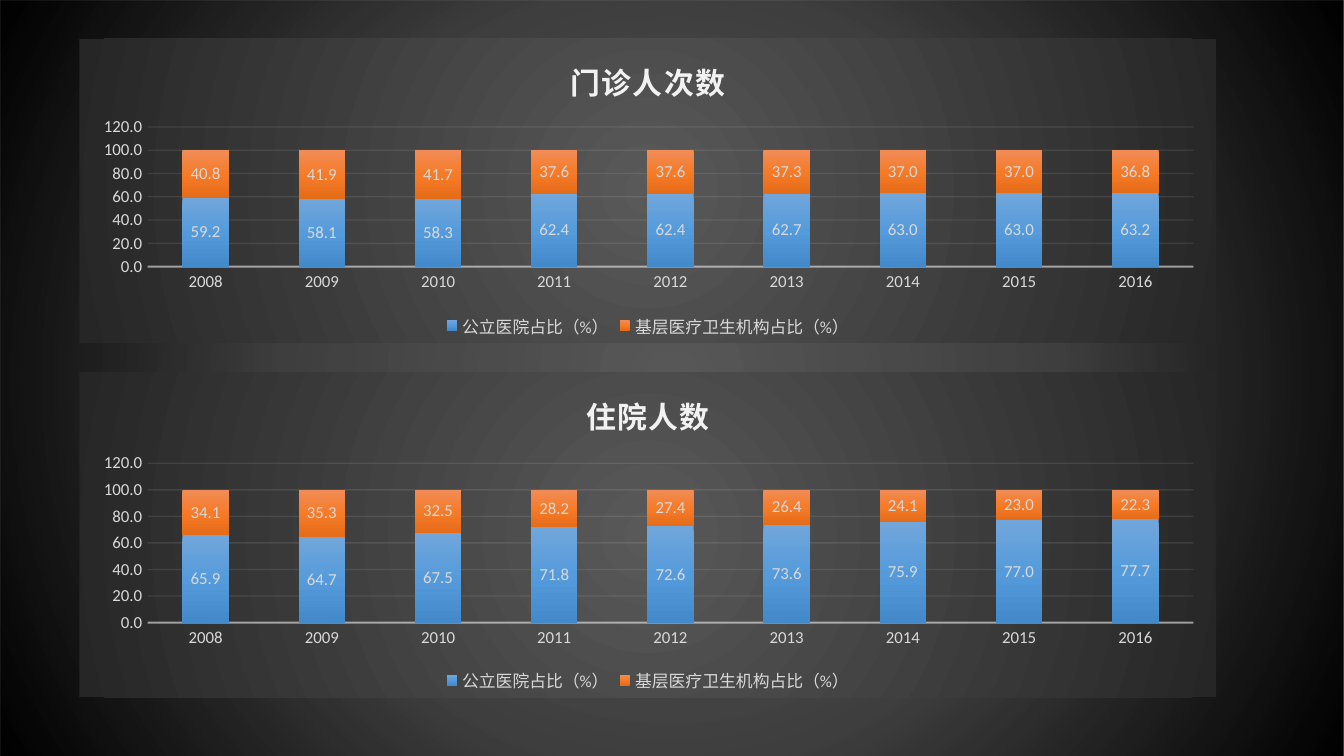
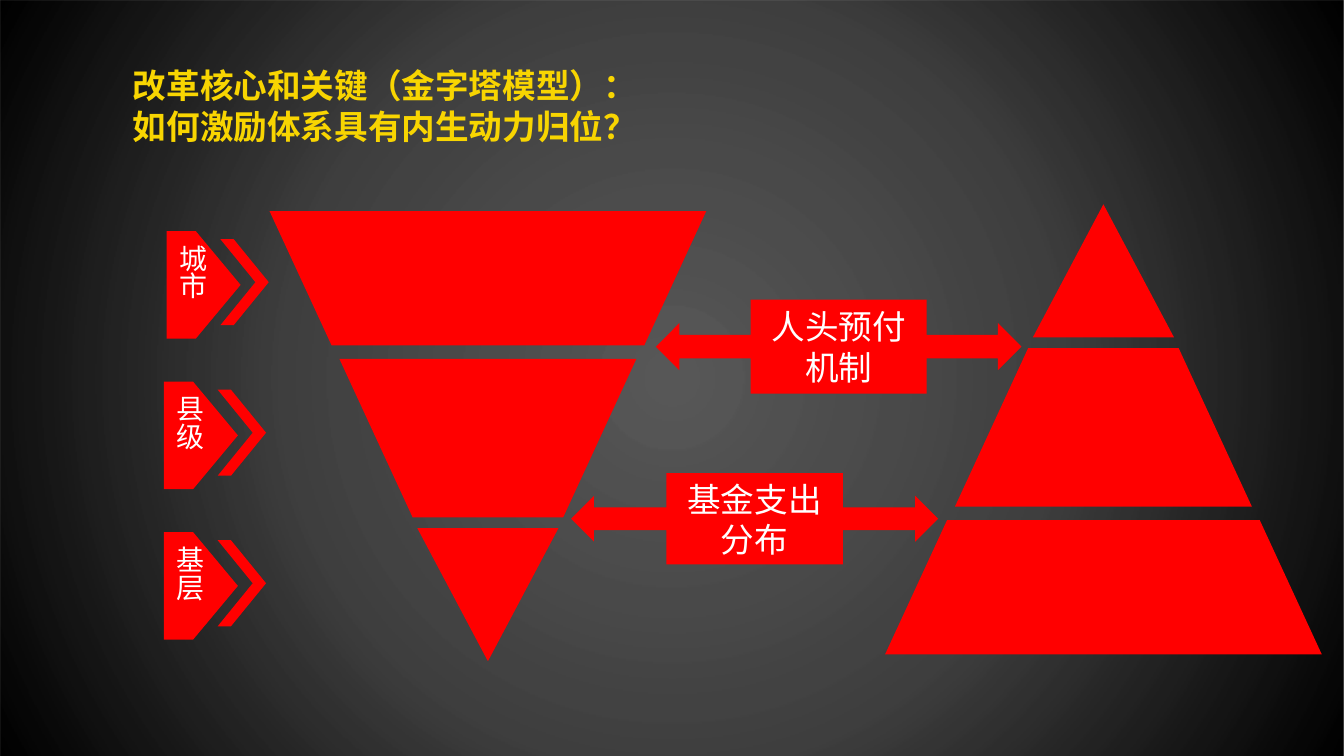
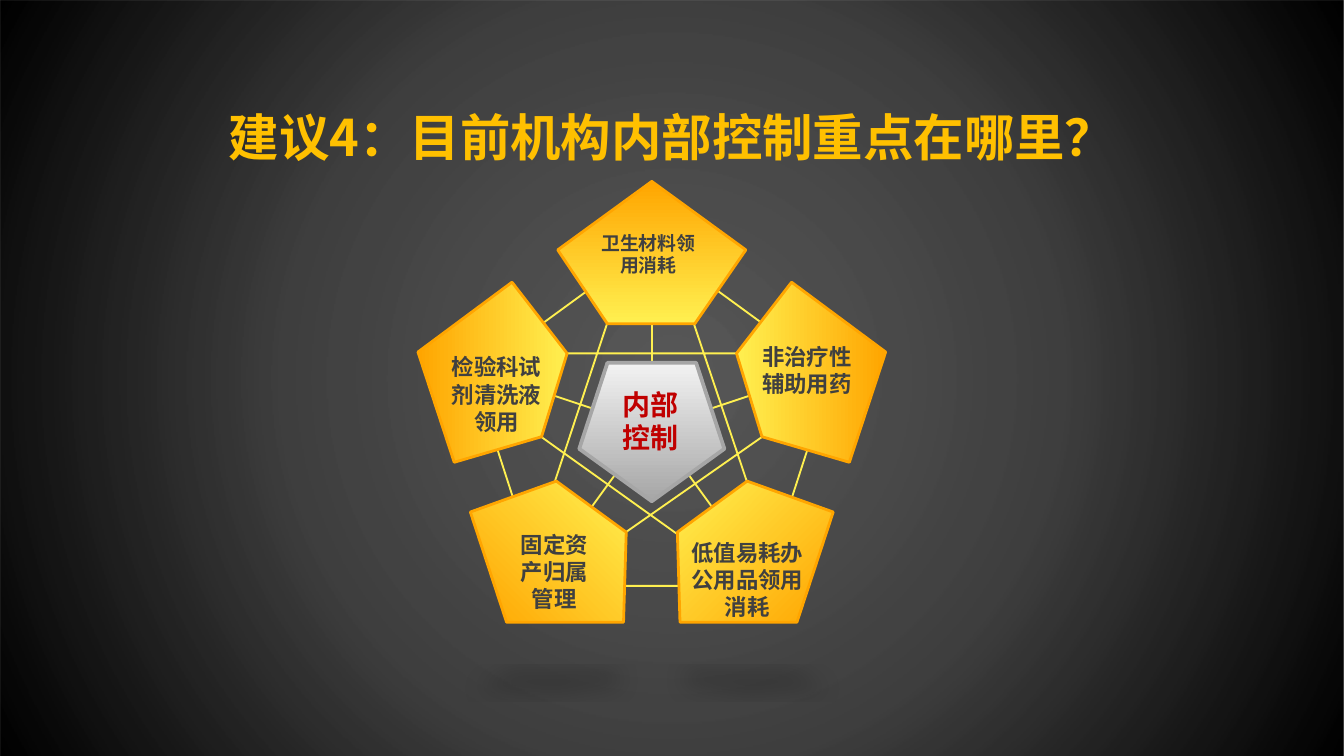
from lxml import etree
from pptx import Presentation
from pptx.chart.data import CategoryChartData
from pptx.dml.color import RGBColor
from pptx.enum.chart import XL_CHART_TYPE, XL_LEGEND_POSITION, XL_TICK_MARK
from pptx.enum.shapes import MSO_CONNECTOR, MSO_SHAPE
from pptx.enum.text import MSO_ANCHOR, MSO_AUTO_SIZE, PP_ALIGN
from pptx.oxml import parse_xml
from pptx.oxml.ns import nsdecls, qn
from pptx.util import Inches, Pt

CJK_FONT = "Noto Sans CJK SC"
CHART_FONT = "Calibri"
BLACK = RGBColor(0x00, 0x00, 0x00)
WHITE = RGBColor(0xFF, 0xFF, 0xFF)
RED = RGBColor(0xFF, 0x00, 0x00)
DARK_RED = RGBColor(0xC0, 0x00, 0x00)
TITLE_YELLOW = RGBColor(0xF8, 0xD5, 0x01)
TITLE_GOLD = RGBColor(0xFF, 0xC0, 0x00)
LEMON = RGBColor(0xFF, 0xF0, 0x50)
ORANGE = RGBColor(0xFF, 0xA5, 0x00)
CHARCOAL = RGBColor(0x40, 0x40, 0x40)
SILVER = RGBColor(0xF2, 0xF2, 0xF2)
STEEL = RGBColor(0xA6, 0xA6, 0xA6)
LABEL_GRAY = RGBColor(0xD9, 0xD9, 0xD9)
PANEL_LIGHT = RGBColor(0x59, 0x59, 0x59)
PANEL_DARK = RGBColor(0x26, 0x26, 0x26)
BLUES = [RGBColor(0x71, 0xA6, 0xDB), RGBColor(0x55, 0x9B, 0xDB), RGBColor(0x44, 0x8A, 0xCA)]
ORANGES = [RGBColor(0xF1, 0x8C, 0x57), RGBColor(0xF6, 0x7B, 0x28), RGBColor(0xE5, 0x6C, 0x19)]

YEARS = range(2008, 2017)
HOSPITAL, PRIMARY = "公立医院占比（%）", "基层医疗卫生机构占比（%）"
OUTPATIENT = {
    HOSPITAL: [59.2, 58.1, 58.3, 62.4, 62.4, 62.7, 63, 63, 63.2],
    PRIMARY: [40.8, 41.9, 41.7, 37.6, 37.6, 37.3, 37, 37, 36.8],
}
INPATIENT = {
    HOSPITAL: [65.9, 64.7, 67.5, 71.8, 72.6, 73.6, 75.9, 77, 77.7],
    PRIMARY: [34.1, 35.3, 32.5, 28.2, 27.4, 26.4, 24.1, 23, 22.3],
}

PYRAMID_LAYERS = [
    (MSO_SHAPE.ISOSCELES_TRIANGLE, 1.52, 1.05, 0.99),
    (MSO_SHAPE.TRAPEZOID, 2.59, 2.21, 1.18),
    (MSO_SHAPE.TRAPEZOID, 3.87, 3.25, 1.0),
]
FLIP_SUM = 6.44

RING_CENTER = 4.85
TOP_PENTAGON = [(4.85, 1.35), (4.15, 1.86), (4.52, 2.41), (5.17, 2.41), (5.55, 1.86)]
RIGHT_PENTAGON = [(6.59, 2.62), (5.89, 2.1), (5.48, 2.63), (5.67, 3.25), (6.32, 3.44)]
LOWER_LEFT_PENTAGON = [(3.77, 4.63), (4.64, 4.63), (4.66, 3.96), (4.14, 3.58), (3.5, 3.81)]
CORE_PENTAGON = [(4.85, 3.73), (5.39, 3.34), (5.18, 2.7), (4.52, 2.7), (4.31, 3.34)]
STAR = [(3.97, 3.21), (4.15, 2.63), (5.54, 2.63), (5.73, 3.21), (4.6, 4), (4.11, 3.64),
        (4.54, 2.34), (5.14, 2.34), (5.58, 3.65), (5.09, 4.01)]
RIGHT_SPOKES = [[(5.62, 2.93), (5.23, 3.06)], [(5.34, 3.83), (5.1, 3.5)]]


def inches(*lengths):
    """Convert several lengths to EMU."""
    return [Inches(length) for length in lengths]


def mirror(points):
    """Reflect points across the vertical axis of the ring."""
    return [(2 * RING_CENTER - x, y) for x, y in points]


def gradient(colors, angle=None, alphas=()):
    """Return a gradient with even stops, linear with an angle, else circular."""
    grad = parse_xml(f'<a:gradFill {nsdecls("a")} rotWithShape="1"><a:gsLst/></a:gradFill>')
    for index, color in enumerate(colors):
        position = 100000 * index // (len(colors) - 1)
        stop = etree.SubElement(grad[0], qn("a:gs"), pos=str(position))
        tint = etree.SubElement(stop, qn("a:srgbClr"), val=str(color))
        if index < len(alphas):
            etree.SubElement(tint, qn("a:alpha"), val=str(alphas[index] * 1000))
    if angle is None:
        circle = etree.SubElement(grad, qn("a:path"), {"path": "circle"})
        etree.SubElement(circle, qn("a:fillToRect"), {side: "50000" for side in "ltrb"})
    else:
        etree.SubElement(grad, qn("a:lin"), ang=str(angle * 60000), scaled="0")
    return grad


def fill_gradient(fill, properties, grad):
    """Put a gradient in the place of the fill of the given properties."""
    fill.background()
    properties.replace(properties.find(qn("a:noFill")), grad)


def add_backdrop(prs, slide):
    """Put the dark radial backdrop on the slide master."""
    backdrop = slide.shapes.add_shape(MSO_SHAPE.RECTANGLE, 0, 0, prs.slide_width, prs.slide_height)
    backdrop.shadow.inherit = False
    backdrop.line.fill.background()
    fill_gradient(backdrop.fill, backdrop.element.spPr, gradient([BLACK] * 3, alphas=(65, 75)))
    backdrop.element.nvSpPr.cNvPr.set("id", "50")
    prs.slide_master.shapes.element.insert(2, backdrop.element)


def style_font(font, size, color, bold=False, name=CHART_FONT):
    """Set the size, colour, weight and typeface of a font."""
    font.size, font.bold, font.name = Pt(size), bold, name
    font.color.rgb = color


def write_text(frame, text, size, color, bold=False, align=PP_ALIGN.CENTER, tight=True):
    """Fill a text frame with evenly styled paragraphs."""
    frame.text = text
    for paragraph in frame.paragraphs:
        paragraph.alignment = align
        if tight:
            paragraph.line_spacing = Pt(round(size * 1.21, 1))
        for run in paragraph.runs:
            style_font(run.font, size, color, bold, CJK_FONT)
            latin = run.font._element.find(qn("a:latin"))
            latin.addnext(parse_xml(f'<a:ea {nsdecls("a")} typeface="{CJK_FONT}"/>'))


def add_label(slide, bounds, text, size, color, align=PP_ALIGN.CENTER):
    """Add a bold wrapping text box that grows with its text."""
    label = slide.shapes.add_textbox(*inches(*bounds))
    label.text_frame.word_wrap = True
    label.text_frame.auto_size = MSO_AUTO_SIZE.SHAPE_TO_FIT_TEXT
    write_text(label.text_frame, text, size, color, True, align)


def add_red_shape(slide, kind, bounds, adjustment=None):
    """Add a flat red preset shape."""
    block = slide.shapes.add_shape(kind, *inches(*bounds))
    block.shadow.inherit = False
    block.fill.solid()
    block.fill.fore_color.rgb = RED
    block.line.fill.background()
    if adjustment is not None:
        block.adjustments[0] = adjustment
    return block


def fade(chart, where, percent):
    """Make the line colours found by an XPath partly transparent."""
    for color in chart.element.xpath(where):
        etree.SubElement(color, qn("a:alpha"), val=str(percent * 1000))


def style_axes(chart):
    """Style the year axis, the percentage axis and its gridlines."""
    years, shares = chart.category_axis, chart.value_axis
    for axis in (years, shares):
        axis.major_tick_mark = axis.minor_tick_mark = XL_TICK_MARK.NONE
        style_font(axis.tick_labels.font, 9, LABEL_GRAY)
    shares.minimum_scale, shares.maximum_scale, shares.major_unit = 0, 120, 20
    shares.tick_labels.number_format = "0.0"
    shares.tick_labels.number_format_is_linked = False
    shares.format.line.fill.background()
    for line, width in ((years.format.line, 1), (shares.major_gridlines.format.line, 0.75)):
        line.width = Pt(width)
        line.color.rgb = SILVER
    fade(chart, ".//c:majorGridlines//a:srgbClr", 10)
    fade(chart, ".//c:catAx/c:spPr//a:srgbClr", 54)


def place_plot(chart, x, y, width, height):
    """Fix the inner plot area as fractions of the chart."""
    plot_area = chart.element.find(".//" + qn("c:plotArea"))
    old = plot_area.find(qn("c:layout"))
    if old is not None:
        plot_area.remove(old)
    layout = etree.Element(qn("c:layout"))
    manual = etree.SubElement(layout, qn("c:manualLayout"))
    settings = {"layoutTarget": "inner", "xMode": "edge", "yMode": "edge",
                "x": x, "y": y, "w": width, "h": height}
    for key, value in settings.items():
        etree.SubElement(manual, qn("c:" + key), val=str(value))
    plot_area.insert(0, layout)


def add_share_chart(slide, bounds, title, shares, plot_top, plot_height):
    """Add a stacked column chart of the shares by year."""
    data = CategoryChartData(number_format="0.0")
    data.categories = YEARS
    for name, values in shares.items():
        data.add_series(name, values)
    chart = slide.shapes.add_chart(XL_CHART_TYPE.COLUMN_STACKED, *inches(*bounds), data).chart
    style_font(chart.font, 10, BLACK)

    chart.has_title = True
    chart.chart_title.include_in_layout = False
    heading = chart.chart_title.text_frame
    heading.text = title
    style_font(heading.paragraphs[0].runs[0].font, 16, SILVER, True)
    heading.paragraphs[0].runs[0].font._element.set("spc", "100")

    chart.has_legend = True
    chart.legend.position = XL_LEGEND_POSITION.BOTTOM
    chart.legend.include_in_layout = False
    style_font(chart.legend.font, 9, LABEL_GRAY)

    columns = chart.plots[0]
    columns.gap_width, columns.overlap = 150, 100
    columns.vary_by_categories = False
    for series, colors in zip(columns.series, (BLUES, ORANGES)):
        fill = series.format.fill
        fill_gradient(fill, series._element.find(qn("c:spPr")), gradient(colors, 90))
        series.data_labels.show_value = True
        style_font(series.data_labels.font, 9, LABEL_GRAY)

    style_axes(chart)
    place_plot(chart, 0.06, plot_top, 0.92, plot_height)
    panel = parse_xml(f'<c:spPr {nsdecls("c", "a")}><a:ln><a:noFill/></a:ln></c:spPr>')
    panel.insert(0, gradient([PANEL_LIGHT, PANEL_DARK]))
    chart.element.find(qn("c:chart")).addnext(panel)


def add_level(slide, left, top, text):
    """Add a vertical level tag followed by a chevron."""
    tag = add_red_shape(slide, MSO_SHAPE.PENTAGON, (left, top, 0.55, 0.8), 0.606)
    tag.text_frame.word_wrap = False
    tag.text_frame.vertical_anchor = MSO_ANCHOR.MIDDLE
    write_text(tag.text_frame, text, 15, WHITE, tight=False)
    tag.text_frame._txBody.bodyPr.set("vert", "eaVert")
    add_red_shape(slide, MSO_SHAPE.CHEVRON, (left + 0.4, top + 0.06, 0.36, 0.64), 0.725)


def add_pyramid(slide, center, inverted=False):
    """Add a three-layer pyramid around a centre line."""
    for kind, top, width, height in PYRAMID_LAYERS:
        if inverted:
            top = FLIP_SUM - top - height
        adjustment = 0.462 if kind == MSO_SHAPE.TRAPEZOID else None
        layer = add_red_shape(slide, kind, (center - width / 2, top, width, height), adjustment)
        layer.rotation = 180 if inverted else 0


def add_mechanism(slide, bounds, text):
    """Add a two-way arrow callout between the pyramids."""
    callout = add_red_shape(slide, MSO_SHAPE.LEFT_RIGHT_ARROW_CALLOUT, bounds)
    callout.text_frame.word_wrap = True
    callout.text_frame.vertical_anchor = MSO_ANCHOR.MIDDLE
    write_text(callout.text_frame, text, 18, WHITE)


def add_polygon(slide, points, line_color, line_width, grad=None):
    """Add a closed outline, filled when a gradient is given."""
    corners = [tuple(inches(*point)) for point in points]
    builder = slide.shapes.build_freeform(*corners[0], scale=1.0)
    builder.add_line_segments(corners[1:], close=True)
    polygon = builder.convert_to_shape()
    polygon.shadow.inherit = False
    polygon.fill.background()
    if grad is not None:
        fill_gradient(polygon.fill, polygon.element.spPr, grad)
    polygon.line.color.rgb = line_color
    polygon.line.width = Pt(line_width)
    return polygon


def add_spoke(slide, start, end):
    """Add a thin line between the core and a pentagon."""
    spoke = slide.shapes.add_connector(MSO_CONNECTOR.STRAIGHT, *inches(*start, *end))
    spoke.line.color.rgb = LEMON
    spoke.line.width = Pt(1)
    etree.SubElement(spoke.element.spPr, qn("a:effectLst"))


def cast_floor_shadow(polygon):
    """Give a polygon a flattened soft shadow below it."""
    effects = polygon.element.spPr.find(qn("a:effectLst"))
    effects.append(parse_xml(
        f'<a:outerShdw {nsdecls("a")} blurRad="152400" dist="317500" dir="5400000" sx="90000" '
        'sy="-19000" rotWithShape="0"><a:srgbClr val="000000"><a:alpha val="15000"/>'
        '</a:srgbClr></a:outerShdw>'))


def build_shares_slide(slide):
    """Build the two share charts."""
    add_share_chart(slide, (0.59, 2.77, 8.46, 2.42), "住院人数", INPATIENT, 0.28, 0.49)
    add_share_chart(slide, (0.59, 0.29, 8.46, 2.26), "门诊人次数", OUTPATIENT, 0.29, 0.46)


def build_pyramid_slide(slide):
    """Build the pyramid model."""
    add_label(slide, (0.89, 0.43, 8.14, 0.71),
              "改革核心和关键（金字塔模型）：\n如何激励体系具有内生动力归位？",
              18, TITLE_YELLOW, PP_ALIGN.LEFT)
    for left, top, level in ((1.24, 1.72, "城市"), (1.22, 3.96, "基层"), (1.22, 2.84, "县级")):
        add_level(slide, left, top, level)
    add_pyramid(slide, 8.21)
    add_pyramid(slide, 3.63, inverted=True)
    add_mechanism(slide, (4.88, 2.23, 2.72, 0.7), "人头预付机制")
    add_mechanism(slide, (4.25, 3.52, 2.73, 0.68), "基金支出分布")


def build_control_slide(slide):
    """Build the ring of internal control priorities."""
    title = slide.shapes.add_textbox(*inches(0, 0.64, 10, 0.74)).text_frame
    title.word_wrap = True
    title.vertical_anchor = MSO_ANCHOR.MIDDLE
    title.margin_left = title.margin_right = Inches(0.07)
    title.margin_top = title.margin_bottom = Inches(0.04)
    write_text(title, "建议4：目前机构内部控制重点在哪里？", 27, TITLE_GOLD, True)

    ring = slide.shapes.add_shape(MSO_SHAPE.REGULAR_PENTAGON, *inches(3.52, 1.81, 2.67, 2.55))
    ring.shadow.inherit = False
    ring.fill.background()
    ring.line.color.rgb = LEMON
    ring.line.width = Pt(1)
    add_polygon(slide, STAR, LEMON, 1)
    add_spoke(slide, (RING_CENTER, 2.35), (RING_CENTER, 2.77))
    for spoke in RIGHT_SPOKES:
        add_spoke(slide, *spoke)
        add_spoke(slide, *mirror(spoke))

    pentagons = [
        (TOP_PENTAGON, 270, False),
        (RIGHT_PENTAGON, 0, False),
        (LOWER_LEFT_PENTAGON, 135, True),
        (mirror(LOWER_LEFT_PENTAGON), 45, True),
        (mirror(RIGHT_PENTAGON), 180, False),
    ]
    for points, angle, on_floor in pentagons:
        pentagon = add_polygon(slide, points, ORANGE, 1.5, gradient([LEMON, ORANGE], angle))
        if on_floor:
            cast_floor_shadow(pentagon)
    add_polygon(slide, CORE_PENTAGON, STEEL, 2, gradient([SILVER, STEEL], 90))

    add_label(slide, (4.31, 1.67, 1.03, 0.44), "卫生材料领用消耗", 10.1, CHARCOAL)
    add_label(slide, (4.22, 2.83, 1.24, 0.61), "内部\n控制", 15, DARK_RED)
    priorities = [
        ((3.2, 2.58, 0.99, 0.71), "检验科试剂清洗液领用"),
        ((5.54, 2.5, 0.93, 0.5), "非治疗性辅助用药"),
        ((5, 3.96, 1.12, 0.71), "低值易耗办公用品领用消耗"),
        ((3.71, 3.9, 0.83, 0.71), "固定资产归属管理"),
    ]
    for bounds, text in priorities:
        add_label(slide, bounds, text, 12, CHARCOAL)


def main():
    """Build and save the presentation."""
    prs = Presentation()
    prs.slide_width = Inches(10)
    prs.slide_height = prs.slide_width * 9 // 16
    builders = (build_shares_slide, build_pyramid_slide, build_control_slide)
    slides = [prs.slides.add_slide(prs.slide_layouts[6]) for _ in builders]
    add_backdrop(prs, slides[0])
    for build, slide in zip(builders, slides):
        build(slide)
    prs.save("out.pptx")


if __name__ == "__main__":
    main()
